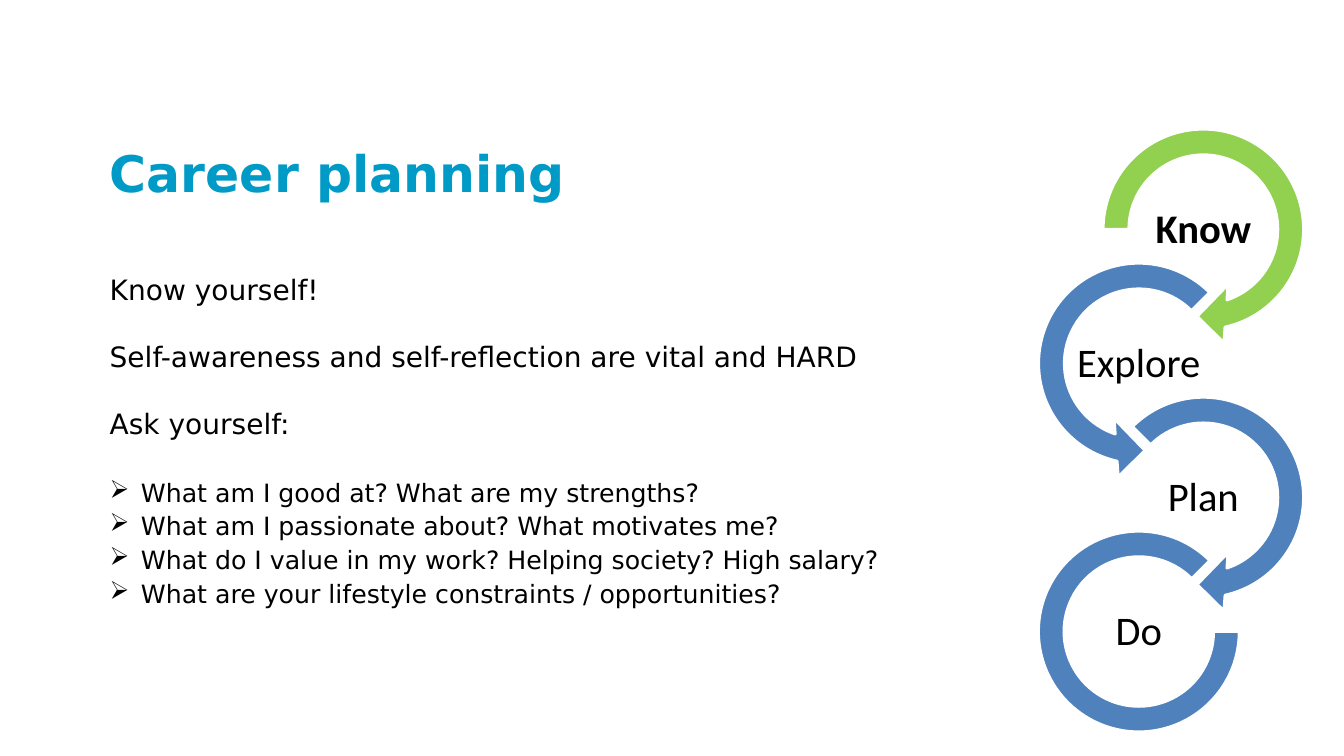
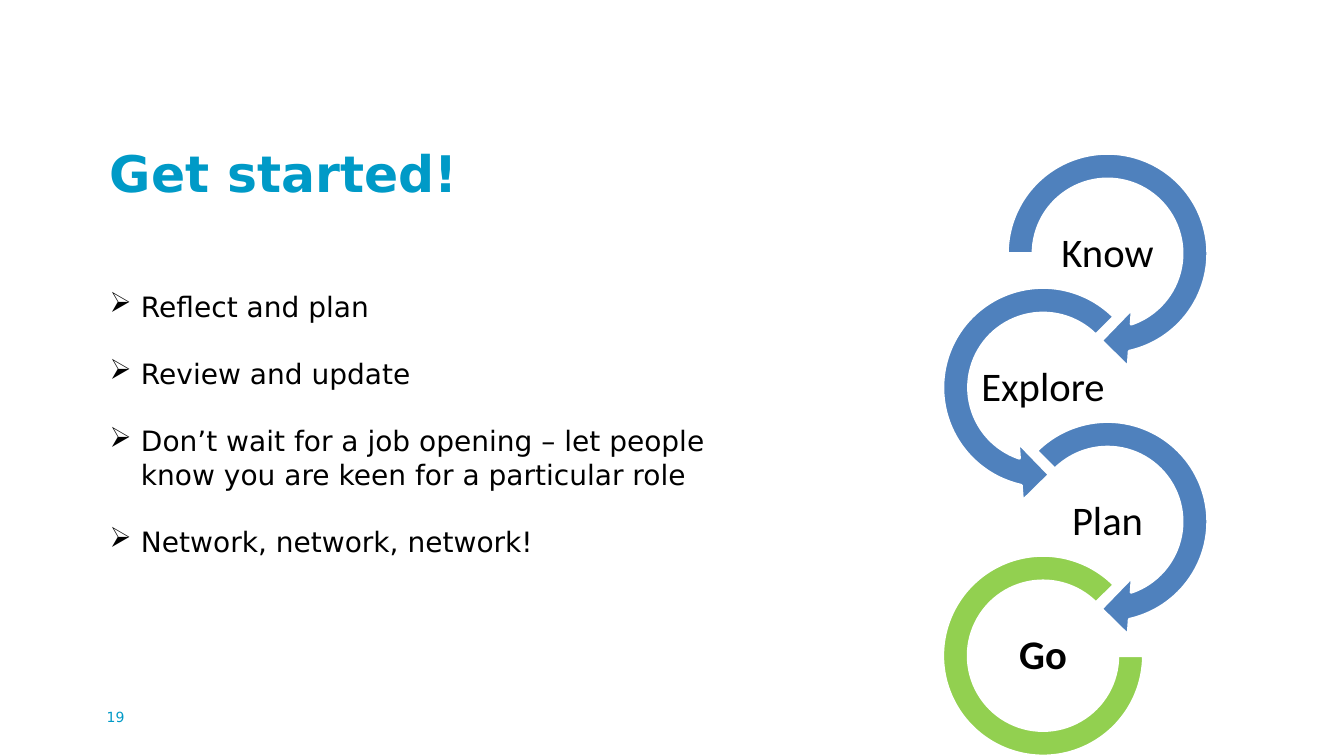
from dataclasses import dataclass

from lxml import etree
from pptx import Presentation
from pptx.dml.color import RGBColor
from pptx.enum.shapes import MSO_SHAPE as Shape
from pptx.enum.text import MSO_ANCHOR as Anchor, MSO_AUTO_SIZE as AutoSize, PP_ALIGN as Align
from pptx.oxml.ns import qn
from pptx.util import Inches, Pt

TEAL = RGBColor(0x00, 0x9A, 0xC7)
BLUE = RGBColor(0x4F, 0x81, 0xBD)
GREEN = RGBColor(0x92, 0xD0, 0x50)
BLACK = RGBColor(0x00, 0x00, 0x00)
WHITE = RGBColor(0xFF, 0xFF, 0xFF)

TEXT_FONT = "DejaVu Sans"
STEP_FONT = "Calibri"
TEXT_LEFT = 0.99
LINE = Pt(24)
HANGING = Inches(0.31)

# Career cycle geometry, in inches from its top left corner
STEP_PITCH = 1.33
RIGHT_SHIFT = 0.64
ARROW_SIZE = 2.31
ARC_SIZE = 1.99
ARC_INSET = 0.16
LABEL_LEFT, LABEL_TOP = 0.51, 0.84
LABEL_WIDTH, LABEL_HEIGHT = 1.29, 0.65


@dataclass(frozen=True)
class Ring:
    shape: Shape
    adjustments: tuple
    shift: float = 0
    inset: float = 0
    size: float = ARROW_SIZE


@dataclass(frozen=True)
class Line:
    text: str
    size: int = 20
    bullet: bool = False
    gap: bool = True


RINGS = (
    Ring(Shape.CIRCULAR_ARROW, (0.11, 11.42, 45, 108, 0.125), RIGHT_SHIFT),
    Ring(Shape.LEFT_CIRCULAR_ARROW, (0.11, 11.42, 63, 189, 0.125)),
    Ring(Shape.CIRCULAR_ARROW, (0.11, 11.42, 45, 135, 0.125), RIGHT_SHIFT),
    Ring(Shape.BLOCK_ARC, (0, 189, 0.127), inset=ARC_INSET, size=ARC_SIZE),
)


def style(paragraph, size: int, color: RGBColor, name: str = TEXT_FONT, bold: bool = False) -> None:
    font = paragraph.font
    font.name, font.size, font.bold = name, Pt(size), bold
    font.color.rgb = color


def add_titled_slide(prs, title: str):
    slide = prs.slides.add_slide(prs.slide_layouts[5])
    heading = slide.shapes.title
    heading.left, heading.top = Inches(TEXT_LEFT), Inches(1.36)
    heading.width, heading.height = Inches(6.37), Inches(1.29)
    frame = heading.text_frame
    frame.text = title
    frame.auto_size = AutoSize.NONE
    frame.vertical_anchor = Anchor.TOP
    frame.paragraphs[0].alignment = Align.LEFT
    style(frame.paragraphs[0], 36, TEAL, bold=True)
    return slide


def add_bullet(paragraph) -> None:
    properties = paragraph._p.get_or_add_pPr()
    properties.set("marL", str(HANGING))
    properties.set("indent", str(-HANGING))
    etree.SubElement(properties, qn("a:buChar")).set("char", "➢")


def add_body(slide, top: float, width: float, height: float, lines: tuple) -> None:
    body = slide.shapes.add_textbox(Inches(TEXT_LEFT), Inches(top), Inches(width), Inches(height))
    frame = body.text_frame
    frame.word_wrap = True
    for index, line in enumerate(lines):
        paragraph = frame.add_paragraph() if index else frame.paragraphs[0]
        paragraph.text = line.text
        if line.bullet:
            add_bullet(paragraph)
        paragraph.line_spacing = LINE
        if index and line.gap:
            paragraph.space_before = LINE
        style(paragraph, line.size, BLACK)


def add_cycle(slide, left: float, top: float, steps: tuple, current: str) -> None:
    cycle = slide.shapes.add_group_shape().shapes
    for index, (ring, step) in enumerate(zip(RINGS, steps)):
        x, y = left + ring.shift, top + index * STEP_PITCH
        active = step == current

        # Ring
        arrow = cycle.add_shape(ring.shape, Inches(x + ring.inset), Inches(y + ring.inset),
                                Inches(ring.size), Inches(ring.size))
        for number, value in enumerate(ring.adjustments):
            arrow.adjustments[number] = value
        arrow.shadow.inherit = False
        arrow.fill.solid()
        arrow.fill.fore_color.rgb = GREEN if active else BLUE
        arrow.line.color.rgb = WHITE
        arrow.line.width = Pt(2)

        # Step name
        label = cycle.add_textbox(Inches(x + LABEL_LEFT), Inches(y + LABEL_TOP),
                                  Inches(LABEL_WIDTH), Inches(LABEL_HEIGHT))
        frame = label.text_frame
        frame.word_wrap = True
        frame.vertical_anchor = Anchor.MIDDLE
        frame.margin_left = frame.margin_right = Inches(0.02)
        frame.margin_top = frame.margin_bottom = Inches(0.02)
        name = frame.paragraphs[0]
        name.text = step
        name.alignment = Align.CENTER
        name.line_spacing = 0.9
        style(name, 29, BLACK, STEP_FONT, active)


def add_page_number(slide, number: int) -> None:
    page = slide.shapes.add_textbox(Inches(0.96), Inches(6.98), Inches(0.94), Inches(0.52))
    page.text_frame.word_wrap = True
    page.text_frame.text = str(number)
    style(page.text_frame.paragraphs[0], 10, TEAL)


def main() -> None:
    prs = Presentation()
    prs.slide_width, prs.slide_height = Inches(13.33), Inches(7.5)

    # Career planning
    planning = add_titled_slide(prs, "Career planning")
    add_cycle(planning, 10.14, 1.12, ("Know", "Explore", "Plan", "Do"), "Know")
    add_body(planning, 2.65, 8.17, 4.33, (
        Line("Know yourself!"),
        Line("Self-awareness and self-reflection are vital and HARD"),
        Line("Ask yourself:"),
        Line("What am I good at? What are my strengths?", 18, True),
        Line("What am I passionate about? What motivates me?", 18, True, False),
        Line("What do I value in my work? Helping society? High salary?", 18, True, False),
        Line("What are your lifestyle constraints / opportunities?", 18, True, False),
    ))

    # Get started
    start = add_titled_slide(prs, "Get started!")
    add_body(start, 2.82, 6.37, 3.66, (
        Line("Reflect and plan", bullet=True),
        Line("Review and update", bullet=True),
        Line("Don’t wait for a job opening – let people know you are keen for a particular role",
             bullet=True),
        Line("Network, network, network!", bullet=True),
    ))
    add_page_number(start, 19)
    add_cycle(start, 9.19, 1.36, ("Know", "Explore", "Plan", "Go"), "Go")

    prs.save("out.pptx")


if __name__ == "__main__":
    main()
